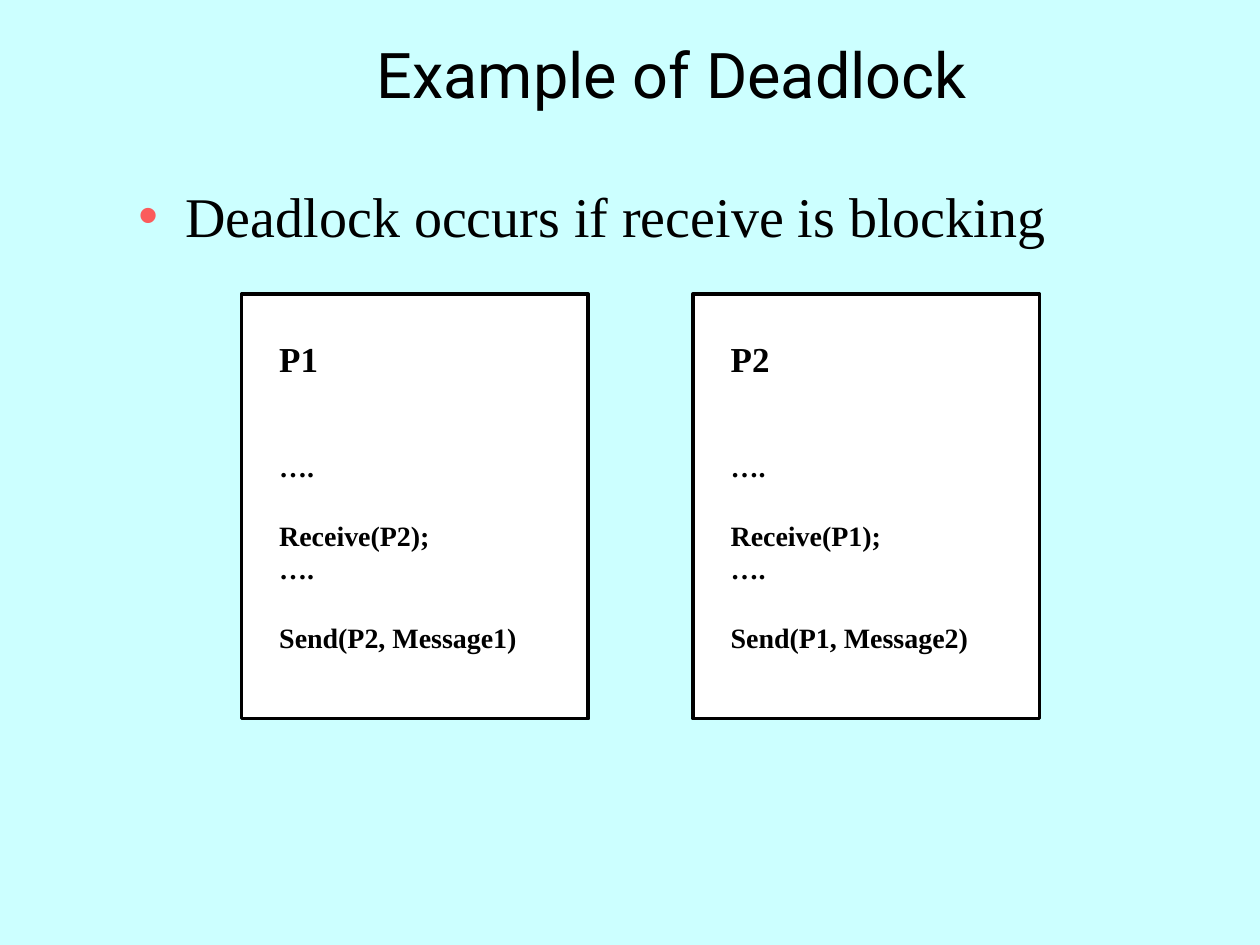
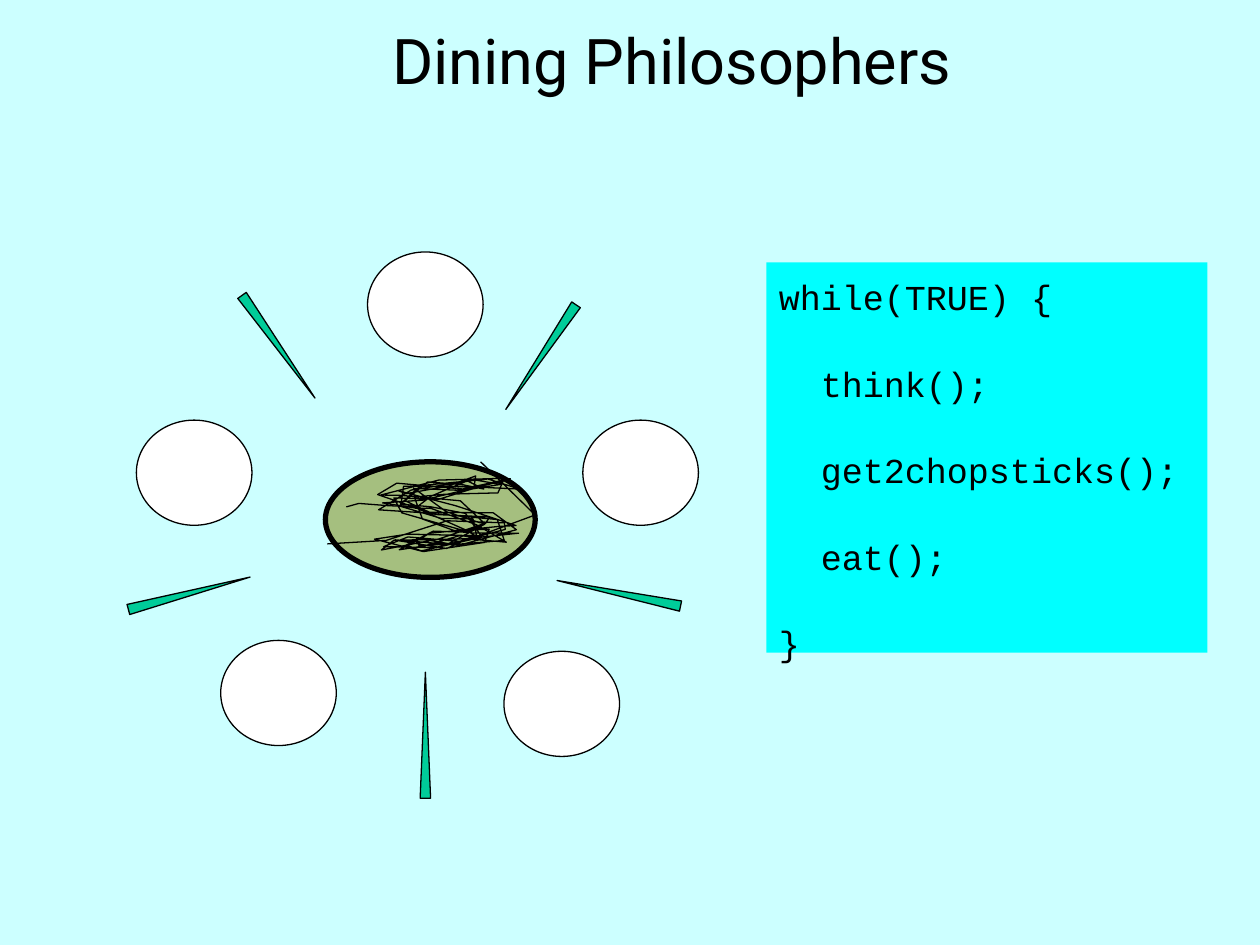
import math

import lxml.etree
import pptx
import pptx.dml.color
import pptx.enum.shapes
import pptx.enum.text
import pptx.oxml.ns
import pptx.util

Cm = pptx.util.Cm
Pt = pptx.util.Pt
RGBColor = pptx.dml.color.RGBColor
SHAPE = pptx.enum.shapes.MSO_SHAPE
ALIGN = pptx.enum.text.PP_ALIGN
ANCHOR = pptx.enum.text.MSO_ANCHOR
AUTO_SIZE = pptx.enum.text.MSO_AUTO_SIZE

PALE_CYAN = RGBColor(0xCC, 0xFF, 0xFF)
CYAN = RGBColor(0x00, 0xFF, 0xFF)
BLACK = RGBColor(0x00, 0x00, 0x00)
WHITE = RGBColor(0xFF, 0xFF, 0xFF)
CORAL = RGBColor(0xFB, 0x5B, 0x5B)
JADE = RGBColor(0x00, 0xCC, 0x99)
OLIVE = RGBColor(0x80, 0x80, 0x00)

TITLE_FONT = {"name": "Roboto", "size": Pt(36), "bold": False}
BODY_FONT = {"name": "Times New Roman", "size": Pt(32)}
PROCESS_FONT = {"name": "Times New Roman", "size": Pt(16), "bold": True}
PROCESS_HEADING_FONT = {**PROCESS_FONT, "size": Pt(20)}
CODE_FONT = {"name": "Courier New", "size": Pt(20)}
FRAME = {
    "word_wrap": True,
    "auto_size": AUTO_SIZE.NONE,
    "vertical_anchor": ANCHOR.TOP,
    "margin_left": Cm(0.25),
    "margin_right": Cm(0.25),
    "margin_top": Cm(0.13),
    "margin_bottom": Cm(0.13),
}


def apply_format(target, values):
    for name, value in values.items():
        setattr(target, name, value)


def place(part, box):
    apply_format(part, dict(zip(("left", "top", "width", "height"), map(Cm, box))))


def write(para, words, font):
    span = para.add_run()
    span.text = words
    apply_format(span.font, font)
    span.font.color.rgb = BLACK


def outline(shape, weight):
    shape.shadow.inherit = False
    shape.line.color.rgb = BLACK
    shape.line.width = Pt(weight)


def add_filled(page, kind, box, color, weight=0.75):
    shape = page.shapes.add_shape(kind, *map(Cm, box))
    shape.fill.solid()
    shape.fill.fore_color.rgb = color
    outline(shape, weight)
    return shape


def write_lines(frame, lines):
    for number, (words, gap, font) in enumerate(lines):
        para = frame.add_paragraph() if number else frame.paragraphs[0]
        apply_format(para, {"alignment": ALIGN.LEFT, "space_before": Pt(gap)})
        write(para, words, font)


def add_page(deck, layout_name, title, title_height):
    page = deck.slides.add_slide(deck.slide_layouts.get_by_name(layout_name))
    heading = page.shapes.title
    place(heading, (2.33, 0.42, 22.43, title_height))
    apply_format(heading.text_frame, {**FRAME, "vertical_anchor": ANCHOR.MIDDLE})
    para = heading.text_frame.paragraphs[0]
    para.alignment = ALIGN.CENTER
    write(para, title, TITLE_FONT)
    return page


def fill_body(body, box, words):
    place(body, box)
    apply_format(body.text_frame, {**FRAME, "margin_top": Cm(0.27)})
    para = body.text_frame.paragraphs[0]
    properties = para._p.get_or_add_pPr()
    properties.set("marL", str(Cm(0.95)))
    properties.set("indent", str(Cm(-0.95)))
    qualified = pptx.oxml.ns.qn
    bullet_color = lxml.etree.SubElement(properties, qualified("a:buClr"))
    lxml.etree.SubElement(bullet_color, qualified("a:srgbClr"), val=str(CORAL))
    lxml.etree.SubElement(properties, qualified("a:buChar"), char="•")
    para.space_before = Pt(0)
    write(para, words, BODY_FONT)


def add_process(page, box, own, partner, message):
    panel = add_filled(page, SHAPE.RECTANGLE, box, WHITE, 2)
    apply_format(panel.text_frame, {**FRAME, "margin_left": Cm(0.76), "margin_top": Cm(0.88)})
    blank = 20
    write_lines(panel.text_frame, [
        (own, 0, PROCESS_HEADING_FONT),
        ("….", 2 * blank, PROCESS_FONT),
        (f"Receive({partner});", blank, PROCESS_FONT),
        ("….", 0, PROCESS_FONT),
        (f"Send({partner}, {message})", blank, PROCESS_FONT),
    ])


def add_code(page, box, lines):
    panel = add_filled(page, SHAPE.RECTANGLE, box, CYAN)
    panel.line.fill.background()
    apply_format(panel.text_frame, {**FRAME, "margin_top": Cm(0.27)})
    write_lines(panel.text_frame, [
        (words, 25.4 if number else 0, CODE_FONT) for number, words in enumerate(lines)
    ])


def add_noodle(page, box, points):
    left, top, width, height = box
    corners = [(Cm(left + x * width), Cm(top + y * height)) for x, y in points]
    builder = page.shapes.build_freeform(*corners[0])
    builder.add_line_segments(corners[1:], close=False)
    noodle = builder.convert_to_shape()
    noodle.fill.background()
    outline(noodle, 0.75)


def tangle(steps):
    for step in range(steps):
        reach = 0.25 + 0.1 * math.sin(0.6 * step)
        yield (0.58 + reach * math.sin(1.1 * step),
               0.45 + 0.27 * math.sin(0.37 * step) + 0.06 * math.cos(1.9 * step))


def add_plate(page, box):
    plate = add_filled(page, SHAPE.OVAL, box, OLIVE, 3)
    color = plate.fill._xPr.find(".//" + pptx.oxml.ns.qn("a:srgbClr"))
    lxml.etree.SubElement(color, pptx.oxml.ns.qn("a:alpha"), val="50000")
    add_noodle(page, box, [(0.1, 0.39), (0.16, 0.36), (0.3, 0.38), (0.44, 0.39)])
    add_noodle(page, box, [(0.01, 0.71), (0.29, 0.68), *tangle(110), (1, 0.46), (0.74, 0)])


def add_table_scene(page, box):
    left, top = box[:2]
    seats = [(4.66, 0), (9, 3.39), (7.41, 8.05), (1.7, 7.83), (0, 3.39)]
    for x, y in seats:
        add_filled(page, SHAPE.OVAL, (left + x, top + y, 2.33, 2.12), WHITE)
    chopsticks = [
        (8.05, 0.85, 33.9), (2.76, 0.64, 324.6), (9.62, 5.61, 101.7),
        (0.96, 5.61, 255.1), (5.72, 8.47, 180),
    ]
    for x, y, angle in chopsticks:
        stick = add_filled(page, SHAPE.FLOWCHART_MERGE, (left + x, top + y, 0.21, 2.54), JADE)
        stick.rotation = angle
    add_plate(page, (left + 3.81, top + 4.23, 4.23, 2.33))


def build_deadlock(deck):
    page = add_page(deck, "Title and Content", "Example of Deadlock", 2.12)
    fill_body(page.placeholders[1], (2.54, 3.39, 22.23, 1.91),
              "Deadlock occurs if receive is blocking")
    processes = [("P1", "P2", "Message1"), ("P2", "P1", "Message2")]
    for column, process in enumerate(processes):
        add_process(page, (4.87 + 9.1 * column, 5.93, 6.99, 8.56), *process)


def build_philosophers(deck):
    page = add_page(deck, "Title Only", "Dining Philosophers", 1.55)
    add_table_scene(page, (2.75, 5.08, 11.33, 10.93))
    add_code(page, (15.45, 5.29, 8.89, 7.87),
             ["while(TRUE) {", "  think();", "  get2chopsticks();", "  eat();", "}"])


def main():
    deck = pptx.Presentation()
    apply_format(deck, {"slide_width": Cm(25.4), "slide_height": Cm(19.05)})
    background = deck.slide_master.background.fill
    background.solid()
    background.fore_color.rgb = PALE_CYAN
    build_deadlock(deck)
    build_philosophers(deck)
    deck.save("out.pptx")


if __name__ == "__main__":
    main()
